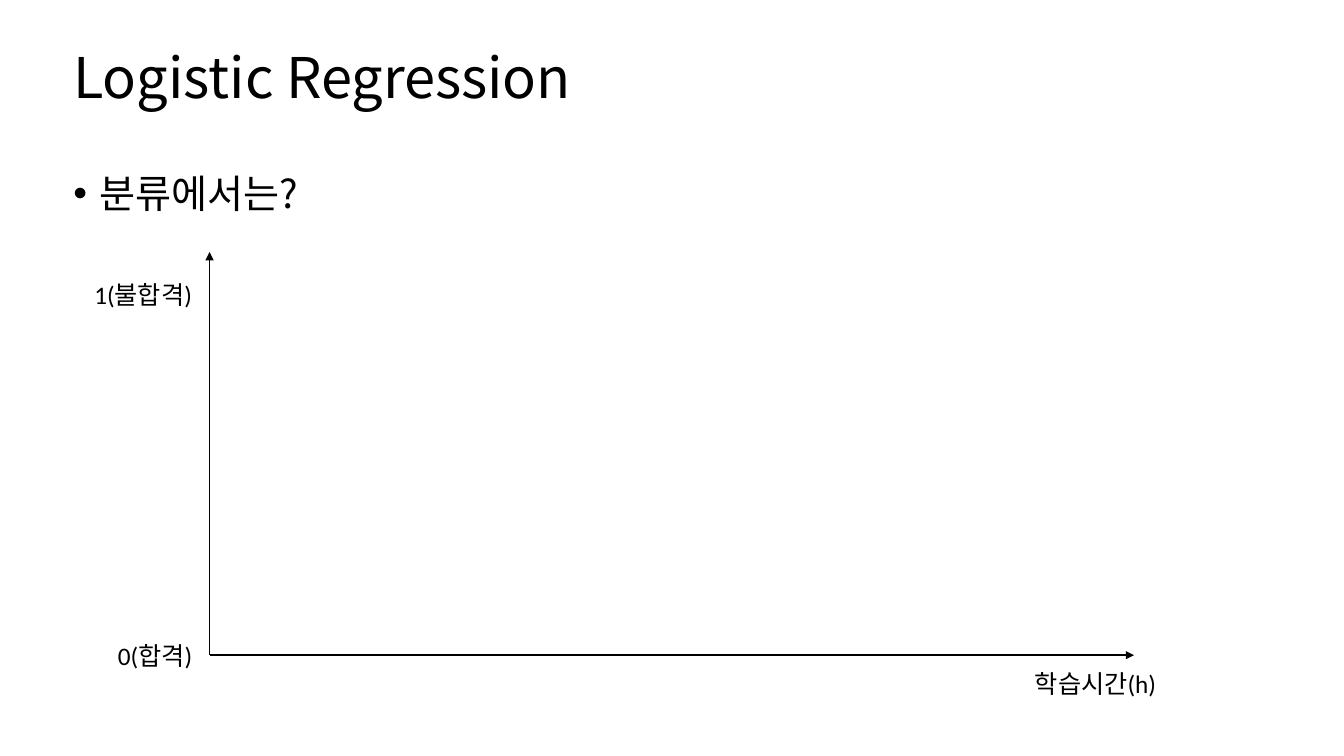
import pptx
import pptx.util
import pptx.dml.color
import pptx.enum.shapes
import pptx.enum.text
from lxml import etree

Cm = pptx.util.Cm
Pt = pptx.util.Pt
COLORS = {"ink": "000000", "paper": "FFFFFF"}
NOTO = "Noto Sans CJK KR"
A = "{http://schemas.openxmlformats.org/drawingml/2006/main}"
INK = pptx.dml.color.RGBColor.from_string(COLORS["ink"])

prs = pptx.Presentation()
prs.slide_width = Cm(33.87)
prs.slide_height = Cm(19.05)
s = prs.slides.add_slide(prs.slide_layouts[6])
s.background.fill.solid()
s.background.fill.fore_color.rgb = pptx.dml.color.RGBColor.from_string(COLORS["paper"])


def add_text(text, left, top, width, height, size, font, margins):
    sp = s.shapes.add_textbox(Cm(left), Cm(top), Cm(width), Cm(height))
    tf = sp.text_frame
    tf.word_wrap = True
    tf.auto_size = pptx.enum.text.MSO_AUTO_SIZE.NONE
    tf.margin_left = tf.margin_right = Cm(margins[0])
    tf.margin_top, tf.margin_bottom = Cm(margins[1]), Cm(margins[2])
    p = tf.paragraphs[0]
    r = p.add_run()
    r.text = text
    r.font.size = Pt(size)
    r.font.name = font
    r.font.color.rgb = INK
    etree.SubElement(r.font._element, A + "ea", typeface=NOTO)
    return p


title = add_text("Logistic Regression", 1.85, 1.24, 20.57, 1.75, 40, NOTO, (0, 0.03, 0))
title.line_spacing = 0.9

question = add_text("분류에서는?", 1.85, 4.37, 12.4, 1.24, 28, NOTO, (0, 0.03, 0))
question.line_spacing = 0.9
pPr = question._p.get_or_add_pPr()
pPr.set("marL", str(Cm(0.65)))
pPr.set("indent", str(Cm(-0.65)))
etree.SubElement(pPr, A + "buFont", typeface="Arial")
etree.SubElement(pPr, A + "buChar", char="•")

origin_x, origin_y = 5.28, 16.51
for end_x, end_y in [(origin_x, 6.35), (28.58, origin_y)]:
    axis = s.shapes.add_connector(
        pptx.enum.shapes.MSO_CONNECTOR.STRAIGHT,
        Cm(origin_x), Cm(origin_y), Cm(end_x), Cm(end_y))
    axis.line.color.rgb = INK
    axis.line.width = Pt(1.25)
    etree.SubElement(axis.line._get_or_add_ln(), A + "tailEnd", type="triangle")
    etree.SubElement(axis._element.spPr, A + "effectLst")

for label, left, top, width in [
    ("1(불합격)", 2.13, 6.91, 3.15),
    ("0(합격)", 2.72, 16.0, 2.51),
    ("학습시간(h)", 25.83, 16.71, 3.81),
]:
    add_text(label, left, top, width, 1.02, 18, "Calibri", (0.25, 0.13, 0.13))

prs.save("out.pptx")
